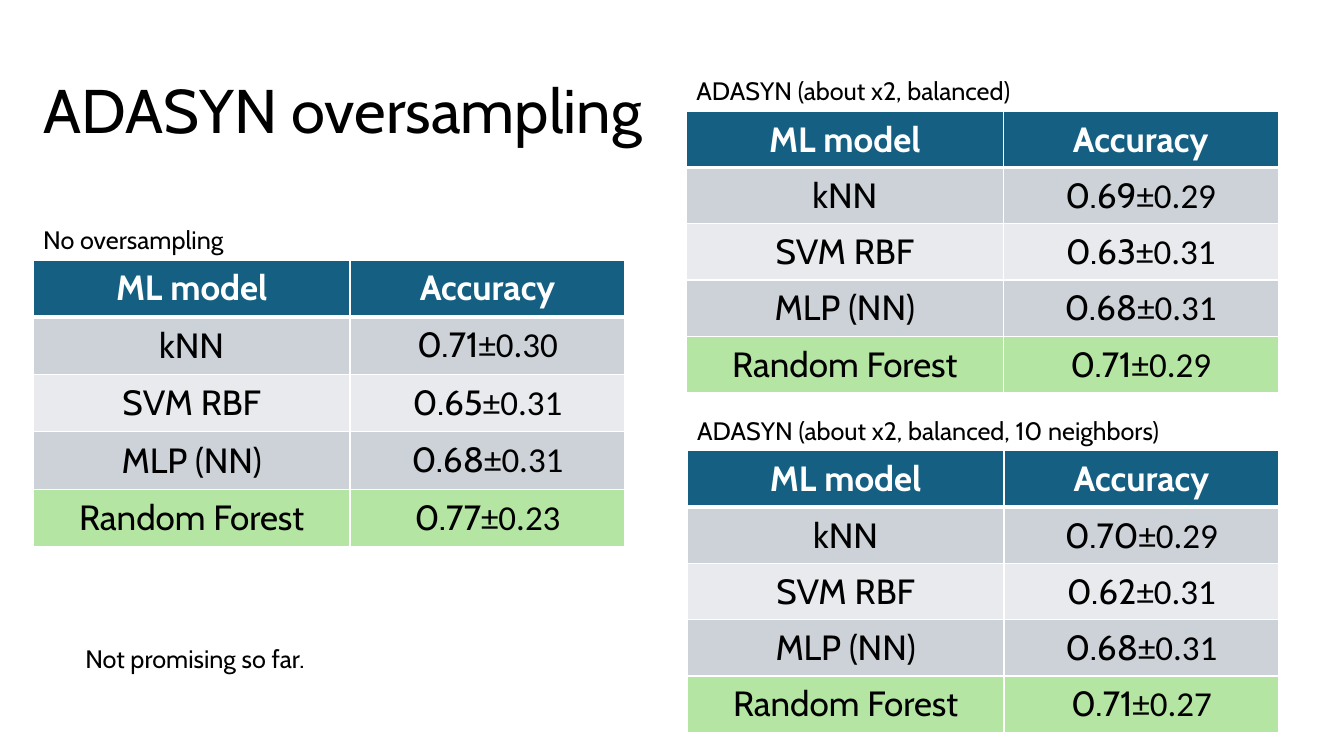
import dataclasses

import lxml.etree
import pptx
import pptx.dml.color
import pptx.enum.text
import pptx.oxml.ns
import pptx.util

Cm = pptx.util.Cm
Pt = pptx.util.Pt
ALIGN = pptx.enum.text.PP_ALIGN
ANCHOR = pptx.enum.text.MSO_ANCHOR


@dataclasses.dataclass(frozen=True)
class Theme:
    font: str = "Cabin"
    deviation_font: str = "Calibri"
    title_size: int = 44
    table_size: int = 25
    caption_size: int = 18
    ink: str = "000000"
    white: str = "FFFFFF"
    header: str = "156082"
    bands: tuple = ("E8EAED", "CCD2D8")
    best: str = "B4E5A2"
    thin_rule: int = 1
    header_rule: int = 3


class ResultsSlide:
    def __init__(self, deck, theme):
        self.theme = theme
        self.slide = deck.slides.add_slide(deck.slide_layouts[5])

    def style(self, run, size, color=None, font=None, bold=False):
        run.font.name = font or self.theme.font
        run.font.size = Pt(size)
        run.font.bold = bold
        run.font.color.rgb = pptx.dml.color.RGBColor.from_string(color or self.theme.ink)

    def title(self, text, left, top, width, height):
        heading = self.slide.shapes.title
        heading.left, heading.top = Cm(left), Cm(top)
        heading.width, heading.height = Cm(width), Cm(height)
        frame = heading.text_frame
        frame.text = text
        frame.vertical_anchor = ANCHOR.MIDDLE
        paragraph = frame.paragraphs[0]
        paragraph.alignment = ALIGN.LEFT
        paragraph.line_spacing = 0.9
        self.style(paragraph.runs[0], self.theme.title_size)

    def caption(self, text, left, top, width):
        label = self.slide.shapes.add_textbox(Cm(left), Cm(top), Cm(width), Cm(1.03))
        frame = label.text_frame
        frame.text = text
        frame.word_wrap = False
        frame.auto_size = pptx.enum.text.MSO_AUTO_SIZE.SHAPE_TO_FIT_TEXT
        self.style(frame.paragraphs[0].runs[0], self.theme.caption_size)

    def borders(self, cell, top, bottom):
        thin = self.theme.thin_rule
        properties = cell._tc.get_or_add_tcPr()
        sides = {"lnL": thin, "lnR": thin, "lnT": top, "lnB": bottom}
        for position, (side, weight) in enumerate(sides.items()):
            line = lxml.etree.Element(pptx.oxml.ns.qn(f"a:{side}"), w=str(Pt(weight)))
            fill = lxml.etree.SubElement(line, pptx.oxml.ns.qn("a:solidFill"))
            lxml.etree.SubElement(fill, pptx.oxml.ns.qn("a:srgbClr"), val=self.theme.white)
            properties.insert(position, line)

    def cell(self, cell, text, fill, color, bold):
        cell.fill.solid()
        cell.fill.fore_color.rgb = pptx.dml.color.RGBColor.from_string(fill)
        cell.vertical_anchor = ANCHOR.MIDDLE
        cell.margin_left = cell.margin_right = Cm(0.36)
        cell.margin_top = cell.margin_bottom = Cm(0.18)
        paragraph = cell.text_frame.paragraphs[0]
        paragraph.alignment = ALIGN.CENTER
        value, sign, deviation = text.partition("±")
        paragraph.text = value
        self.style(paragraph.runs[0], self.theme.table_size, color, bold=bold)
        if sign:
            spread = paragraph.add_run()
            spread.text = sign + deviation
            self.style(spread, self.theme.table_size, color, self.theme.deviation_font)

    def accuracy_table(self, accuracies, left, top, row_height):
        theme = self.theme
        rows = [("ML model", "Accuracy"), *zip(MODELS, accuracies)]
        widths = (7.98, 6.93)
        table = self.slide.shapes.add_table(
            len(rows), len(widths), Cm(left), Cm(top),
            Cm(sum(widths)), Cm(row_height * len(rows))).table
        table.horz_banding = False
        for column, width in zip(table.columns, widths):
            column.width = Cm(width)
        for index, row in enumerate(rows):
            is_header = index == 0
            fill = theme.bands[index % 2]
            if is_header:
                fill = theme.header
            elif row[0] == BEST_MODEL:
                fill = theme.best
            above = theme.header_rule if index == 1 else theme.thin_rule
            below = theme.header_rule if is_header else theme.thin_rule
            for column, text in enumerate(row):
                cell = table.cell(index, column)
                self.cell(cell, text, fill, theme.white if is_header else theme.ink, is_header)
                self.borders(cell, above, below)

    def experiment(self, name, name_width, accuracies, left, top, row_height=1.4):
        self.accuracy_table(accuracies, left, top, row_height)
        self.caption(name, left, top - 1.03, name_width)


MODELS = ("kNN", "SVM RBF", "MLP (NN)", "Random Forest")
BEST_MODEL = "Random Forest"


def main():
    deck = pptx.Presentation()
    deck.slide_width, deck.slide_height = Cm(33.87), Cm(19.05)
    results = ResultsSlide(deck, Theme())
    results.title("ADASYN oversampling", 0.84, 1.02, 29.21, 3.68)
    results.experiment(
        "No oversampling", 5.16,
        ("0.71±0.30", "0.65±0.31", "0.68±0.31", "0.77±0.23"), 0.84, 6.55, 1.43)
    results.experiment(
        "ADASYN (about x2, balanced)", 8.64,
        ("0.69±0.29", "0.63±0.31", "0.68±0.31", "0.71±0.29"), 17.3, 2.8)
    results.experiment(
        "ADASYN (about x2, balanced, 10 neighbors)", 12.5,
        ("0.70±0.29", "0.62±0.31", "0.68±0.31", "0.71±0.27"), 17.32, 11.36)
    results.caption("Not promising so far.", 1.9, 16.08, 6.32)
    deck.save("out.pptx")


if __name__ == "__main__":
    main()
